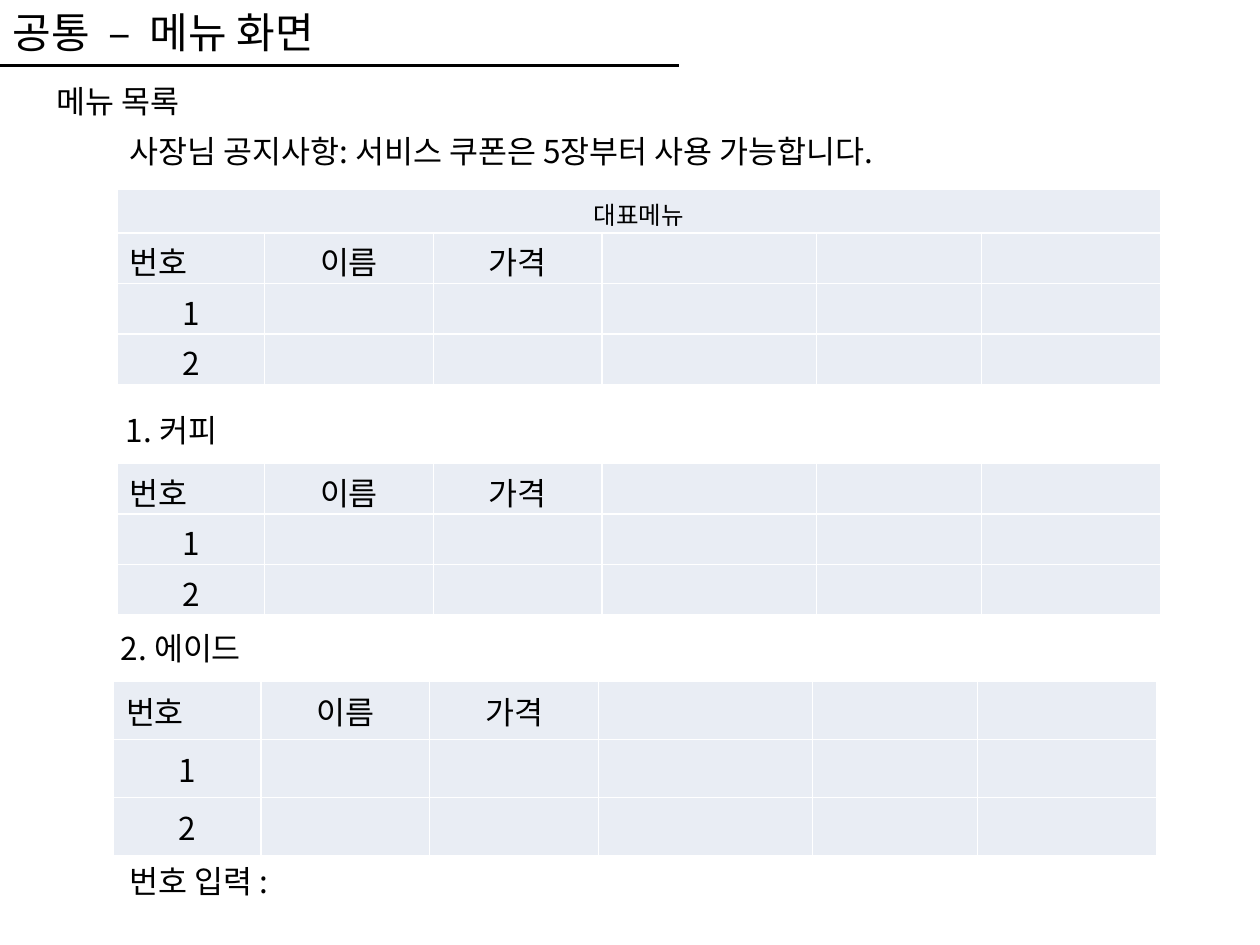
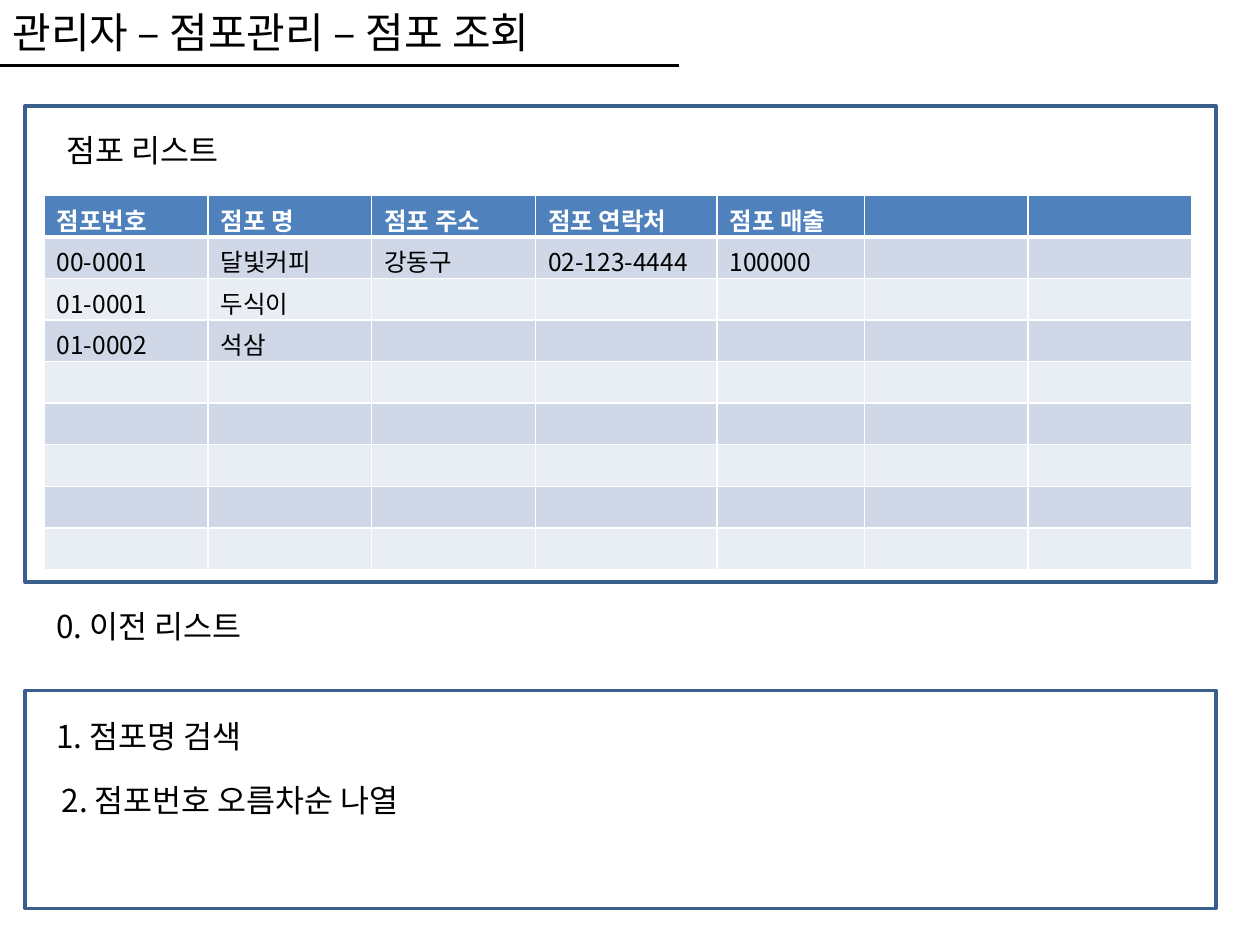
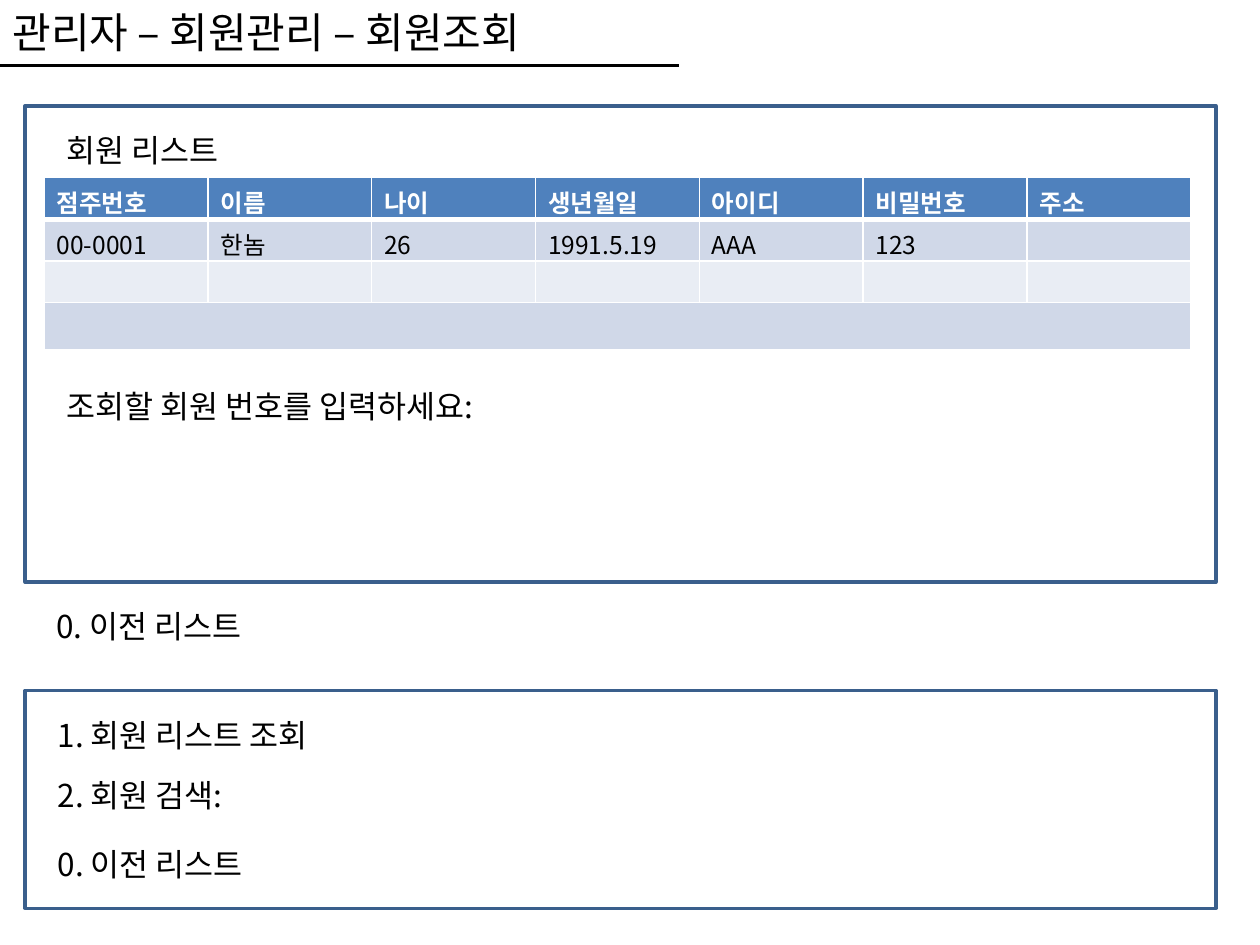
from lxml.etree import SubElement
from pptx import Presentation
from pptx.dml.color import RGBColor
from pptx.enum.shapes import MSO_CONNECTOR as Conn, MSO_SHAPE as Shape
from pptx.enum.text import MSO_ANCHOR as Anchor, PP_ALIGN as Align
from pptx.oxml.ns import qn
from pptx.util import Inches, Pt

FONT = "Noto Sans CJK KR"
COLORS = {"ink": "000000", "paper": "FFFFFF", "frame": "3A5F8C",
          "head": "4F81BD", "dark": "D0D8E8", "light": "E9EDF4"}

MENU = [["번호", "이름", "가격"], ["", "", ""], ["", "", ""]]
MENU[1][0], MENU[2][0] = "1", "2"
MENU_COLS = [1.17, 1.34, 1.34, 1.7, 1.31, 1.42]
BACK = "0. 이전 리스트"
FRAMES = [(0.2, 0.84, 9.45, 3.78), (0.2, 5.48, 9.45, 1.73)]

SLIDES = [
    {"title": "공통  –  메뉴 화면",
     "texts": [("메뉴 목록", 0.35, 0.6, 2.83),
               ("사장님 공지사항: 서비스 쿠폰은 5장부터 사용 가능합니다.", 0.93, 1, 7.46),
               ("1. 커피", 0.9, 3.21, 5.75),
               ("2. 에이드", 0.86, 4.94, 5.75),
               ("번호 입력 :", 0.93, 6.79, 2.83)],
     "menus": [{"at": (0.93, 1.5), "rows": [0.35, 0.4, 0.4, 0.4],
                "cells": [["대표메뉴"]] + MENU, "span": 0},
               {"at": (0.93, 3.68), "rows": [0.4] * 3, "cells": MENU},
               {"at": (0.9, 5.41), "rows": [0.46] * 3, "cells": MENU}]},
    {"title": "관리자 – 점포관리 – 점포 조회",
     "frames": FRAMES,
     "texts": [("점포 리스트", 0.43, 0.99, 3.78),
               (BACK, 0.35, 4.77, 4.33),
               ("1. 점포명 검색", 0.35, 5.64, 4.33),
               ("2. 점포번호 오름차순 나열", 0.39, 6.15, 4.25)],
     "lists": [{"at": (0.35, 1.55), "rows": [0.33] * 9,
                "cols": [1.3, 1.3, 1.3, 1.44, 1.17, 1.3, 1.3],
                "cells": [["점포번호", "점포 명", "점포 주소", "점포 연락처", "점포 매출"],
                          ["00-0001", "달빛커피", "강동구", "02-123-4444", "100000"],
                          ["01-0001", "두식이"],
                          ["01-0002", "석삼"]]}]},
    {"title": "관리자 – 회원관리 – 회원조회",
     "frames": FRAMES,
     "texts": [("회원 리스트", 0.43, 0.99, 3.78),
               ("조회할 회원 번호를 입력하세요:", 0.43, 3.02, 4.8),
               (BACK, 0.35, 4.77, 4.33),
               ("1. 회원 리스트 조회", 0.36, 5.63, 4.33),
               ("2. 회원 검색:", 0.36, 6.11, 4.33),
               (BACK, 0.36, 6.66, 4.33)],
     "lists": [{"at": (0.35, 1.41), "rows": [0.33, 0.33, 0.33, 0.38],
                "cols": [1.3] * 7, "span": 3,
                "cells": [["점주번호", "이름", "나이", "생년월일", "아이디", "비밀번호", "주소"],
                          ["00-0001", "한놈", "26", "1991.5.19", "AAA", "123"]]}]},
]


def color(name):
    return RGBColor.from_string(COLORS[name])


def style(frame, size, ink="ink", bold=False):
    para = frame.paragraphs[0]
    for run in para.runs:
        run.font.size, run.font.name, run.font.bold = Pt(size), FONT, bold
        run.font.color.rgb = color(ink)
        SubElement(run.font._element, qn("a:ea"), typeface=FONT)
    if not para.runs:
        SubElement(para._p, qn("a:endParaRPr"), sz=str(size * 100))


def add_text(slide, text, x, y, w, size=18, h=0.4):
    frame = slide.shapes.add_textbox(*map(Inches, (x, y, w, h))).text_frame
    frame.word_wrap = True
    frame.text = text
    style(frame, size)


def add_title(slide, text):
    line = slide.shapes.add_connector(Conn.STRAIGHT, 0, Inches(0.52), Inches(5.39), Inches(0.52))
    line.line.color.rgb = color("ink")
    line.line.width = Pt(1.75)
    SubElement(line._element.spPr, qn("a:effectLst"))
    add_text(slide, text, 0, 0, 7.99, 24, 0.5)


def add_frame(slide, box):
    rect = slide.shapes.add_shape(Shape.RECTANGLE, *map(Inches, box))
    rect.shadow.inherit = False
    rect.fill.background()
    rect.line.color.rgb = color("frame")
    rect.line.width = Pt(2)


def add_edges(cell, widths):
    props = cell._tc.get_or_add_tcPr()
    for side, width in zip("LRTB", widths):
        edge = SubElement(props, qn("a:ln" + side), w=str(Pt(width)))
        fill = SubElement(edge, qn("a:solidFill"))
        SubElement(fill, qn("a:srgbClr"), val=COLORS["paper"])


def add_grid(slide, at, rows, cols, cells, look, span=None):
    box = (*at, sum(cols), sum(rows))
    grid = slide.shapes.add_table(len(rows), len(cols), *map(Inches, box)).table
    for col, width in zip(grid.columns, cols):
        col.width = Inches(width)
    for r, height in enumerate(rows):
        grid.rows[r].height = Inches(height)
        words = cells[r] if r < len(cells) else []
        for c in range(len(cols)):
            cell = grid.cell(r, c)
            cell.text = words[c] if c < len(words) else ""
            look(cell, r, c, height)
    if span is not None:
        grid.cell(span, 0).merge(grid.cell(span, len(cols) - 1))


def menu_look(cell, r, c, height):
    wide = height < 0.4
    cell.margin_top = Inches(0.05 if height > 0.4 else 0.04)
    cell.margin_bottom = Inches(0.05 if height > 0.4 else 0)
    if wide:
        cell.vertical_anchor = Anchor.MIDDLE
    if cell.text != "번호":
        cell.text_frame.paragraphs[0].alignment = Align.CENTER
    style(cell.text_frame, 14 if wide else 18)
    add_edges(cell, (1, 1, 1, 1))
    cell.fill.solid()
    cell.fill.fore_color.rgb = color("light")


def list_look(cell, r, c, height):
    cell.margin_top, cell.margin_bottom = Inches(0.05), 0
    top = r == 0
    style(cell.text_frame, 14, "paper" if top else "ink", top)
    add_edges(cell, (1, 1, 3 if r == 1 else 1, 3 if top else 1))
    cell.fill.solid()
    cell.fill.fore_color.rgb = color("head" if top else "dark" if r % 2 else "light")


def main():
    deck = Presentation()
    deck.slide_width, deck.slide_height = Inches(10), Inches(7.5)
    for data in SLIDES:
        slide = deck.slides.add_slide(deck.slide_layouts[6])
        for box in data.get("frames", []):
            add_frame(slide, box)
        add_title(slide, data["title"])
        for menu in data.get("menus", []):
            add_grid(slide, cols=MENU_COLS, look=menu_look, **menu)
        for table in data.get("lists", []):
            add_grid(slide, look=list_look, **table)
        for item in data["texts"]:
            add_text(slide, *item)
    deck.save("out.pptx")


if __name__ == "__main__":
    main()
